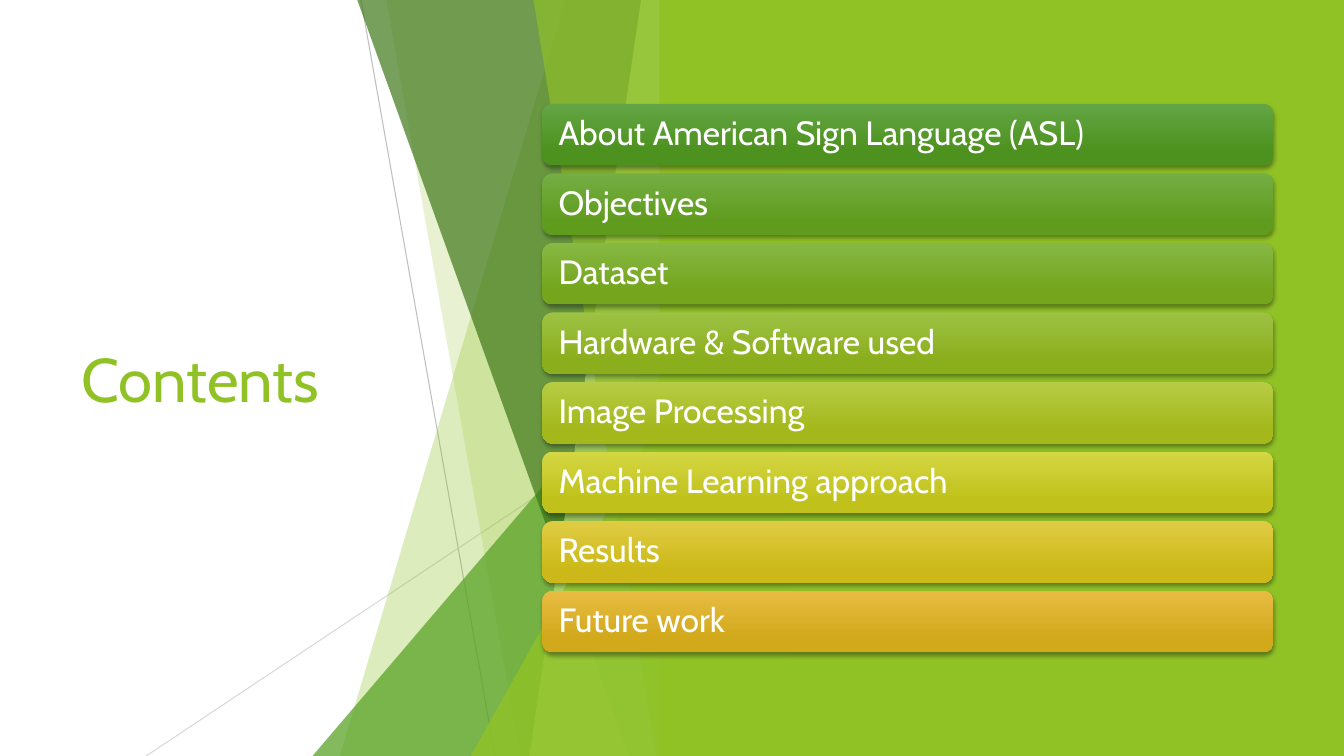
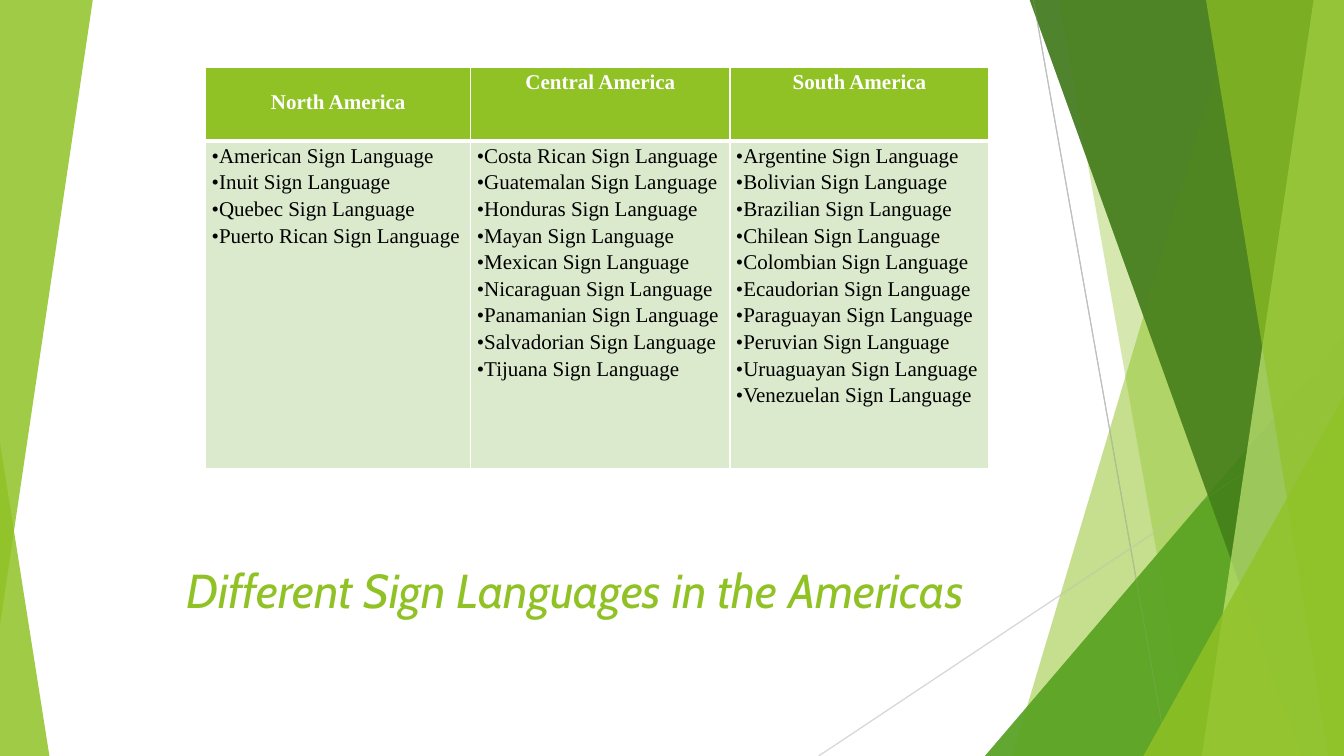
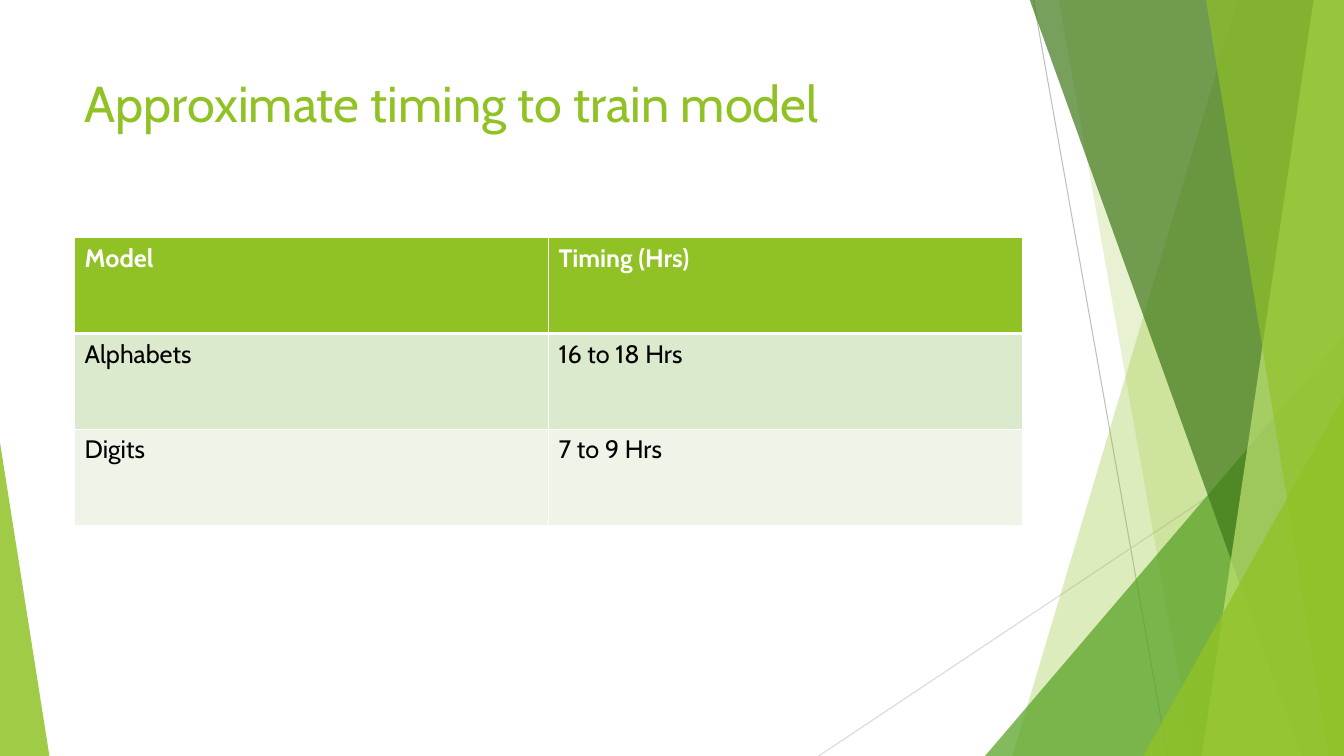
from dataclasses import dataclass

from lxml import etree
from pptx import Presentation
from pptx.dml.color import RGBColor
from pptx.enum.shapes import MSO_CONNECTOR, MSO_SHAPE
from pptx.enum.text import MSO_ANCHOR, MSO_AUTO_SIZE, PP_ALIGN
from pptx.oxml.ns import qn
from pptx.util import Inches, Pt

LEFT, CENTER = PP_ALIGN.LEFT, PP_ALIGN.CENTER
TOP, MIDDLE, BOTTOM = MSO_ANCHOR.TOP, MSO_ANCHOR.MIDDLE, MSO_ANCHOR.BOTTOM
NO_FIT = MSO_AUTO_SIZE.NONE
STRAIGHT = MSO_CONNECTOR.STRAIGHT
RECT, ROUND = MSO_SHAPE.RECTANGLE, MSO_SHAPE.ROUNDED_RECTANGLE
TRIANGLE = MSO_SHAPE.ISOSCELES_TRIANGLE


@dataclass(frozen=True)
class Theme:
    lime: str = "90C226"
    leaf: str = "54A021"
    forest: str = "3F7819"
    pale: str = "C0E474"
    white: str = "FFFFFF"
    black: str = "000000"
    gray: str = "BFBFBF"
    silver: str = "D9D9D9"
    bands: tuple = ("DBE9CD", "EEF4E8")
    sans: str = "Cabin"
    serif: str = "Times New Roman"
    big: int = 44
    head: int = 36
    quote: int = 34
    bar: int = 24
    cell: int = 18
    small: int = 15


THEME = Theme()
WIDTH, HEIGHT = 13.33, 7.5
SHIFT = 6.67

TOPICS = [
    ("About American Sign Language (ASL)", "63A545", "4D921E"),
    ("Objectives", "74AE44", "5F9C1E"),
    ("Dataset", "87B844", "74A51D"),
    ("Hardware & Software used", "9DC244", "8BAE1D"),
    ("Image Processing", "B7CC44", "A4B81C"),
    ("Machine Learning approach", "D4D643", "C0C21B"),
    ("Results", "E0CC43", "CCB919"),
    ("Future work", "E7BC43", "D2A91B"),
]
REGIONS = {
    "North America": ["American", "Inuit", "Quebec", "Puerto Rican"],
    "Central America": ["Costa Rican", "Guatemalan", "Honduras", "Mayan",
                        "Mexican", "Nicaraguan", "Panamanian", "Salvadorian",
                        "Tijuana"],
    "South America": ["Argentine", "Bolivian", "Brazilian", "Chilean",
                      "Colombian", "Ecaudorian", "Paraguayan", "Peruvian",
                      "Uruaguayan", "Venezuelan"],
}
TIMES = [
    ("Model", "Timing (Hrs)"),
    ("Alphabets", "16 to 18 Hrs"),
    ("Digits", "7 to 9 Hrs"),
]


def color(code):
    return RGBColor.from_string(code)


def box(*sizes):
    return [Inches(size) for size in sizes]


def sub(parent, tag, **attrs):
    node = etree.SubElement(parent, qn(tag))
    for key, value in attrs.items():
        node.set(key, str(value))
    return node


def style(frame, font, size, tone, bold=False, italic=False, align=LEFT,
          space=1.0):
    for para in frame.paragraphs:
        para.alignment = align
        para.line_spacing = space
        for run in para.runs:
            run.font.name = font
            run.font.size = Pt(size)
            run.font.color.rgb = color(tone)
            run.font.bold = bold
            run.font.italic = italic


def paint(shape, tone, alpha=100):
    """Flat fill with the given opacity, no outline and no shadow."""
    shape.shadow.inherit = False
    shape.fill.solid()
    shape.fill.fore_color.rgb = color(tone)
    shape.line.fill.background()
    if alpha < 100:
        fill = shape.element.spPr.find(".//" + qn("a:srgbClr"))
        sub(fill, "a:alpha", val=alpha * 1000)


def line(shapes, start, end, tone):
    link = shapes.add_connector(STRAIGHT, *box(*start, *end))
    link.line.color.rgb = color(tone)
    link.line.width = Pt(0.75)
    sub(link.element.spPr, "a:effectLst")


def wedge(shapes, area, tip, tone, alpha):
    """Triangle whose tip sits at the given share of its width."""
    shape = shapes.add_shape(TRIANGLE, *box(*area))
    shape.adjustments[0] = tip
    paint(shape, tone, alpha)
    return shape


def shard(shapes, top, foot, tone, alpha):
    """Slanted panel running from its left edge to the right of the slide."""
    pen = shapes.build_freeform(Inches(top), Inches(-0.01))
    points = [(WIDTH, -0.01), (WIDTH, HEIGHT), (foot, HEIGHT)]
    pen.add_line_segments([box(*point) for point in points], close=True)
    paint(pen.convert_to_shape(), tone, alpha)


def facets(slide):
    group = slide.shapes.add_group_shape()
    shapes = group.shapes
    line(shapes, (10.25, 0), (11.58, HEIGHT), THEME.gray)
    line(shapes, (WIDTH, 4.03), (8.12, HEIGHT), THEME.silver)
    shard(shapes, 12.28, 10.04, THEME.lime, 30)
    shard(shapes, 10.5, 11.83, THEME.lime, 20)
    wedge(shapes, (9.77, 3.33, 3.56, 4.17), 1, THEME.leaf, 72)
    shard(shapes, 10.21, 12.91, THEME.forest, 70)
    shard(shapes, 13.03, 11.92, THEME.pale, 70)
    shard(shapes, 11.96, 13.18, THEME.lime, 65)
    wedge(shapes, (11.34, 3.93, 1.99, 3.57), 1, THEME.lime, 80)
    return group


def dress(layout, slide):
    """Draw the shared backdrop on a slide and move it to its layout."""
    group = facets(slide)
    wedge(group.shapes, (0, 4.39, 0.49, 3.11), 0, THEME.lime, 85)
    for index, node in enumerate(group.element.iter(qn("p:cNvPr"))):
        node.set("id", str(100 + index))
    layout.shapes.element.insert(2, group.element)


def title(slide, text, area, size, anchor, italic=False, space=1.0):
    head = slide.shapes.title
    head.left, head.top, head.width, head.height = box(*area)
    frame = head.text_frame
    frame.text = text
    frame.word_wrap = True
    frame.auto_size = NO_FIT
    frame.vertical_anchor = anchor
    style(frame, THEME.sans, size, THEME.lime, italic=italic, space=space)


def bar(slide, top, text, light, dark):
    shape = slide.shapes.add_shape(ROUND, *box(5.38, top, 7.25, 0.61))
    shape.shadow.inherit = False
    shape.line.fill.background()
    shape.fill.gradient()
    shape.fill.gradient_angle = 270
    for stop, tone, place in zip(shape.fill.gradient_stops, (light, dark),
                                 (0, 0.78)):
        stop.color.rgb = color(tone)
        stop.position = place
    effects = shape.element.spPr.find(qn("a:effectLst"))
    shade = sub(effects, "a:outerShdw", blurRad=Pt(3), dist=Pt(2),
                dir=90 * 60000, rotWithShape=0)
    sub(sub(shade, "a:srgbClr", val=THEME.black), "a:alpha", val=35000)
    frame = shape.text_frame
    frame.text = text
    frame.word_wrap = True
    frame.vertical_anchor = MIDDLE
    frame.margin_left = frame.margin_right = Inches(0.13)
    style(frame, THEME.sans, THEME.bar, THEME.white, space=0.9)


def edges(cell, row):
    """White cell borders, thick between the header and the body."""
    widths = {"L": 1, "R": 1, "T": 3 if row == 1 else 1,
              "B": 3 if row == 0 else 1}
    props = cell._tc.get_or_add_tcPr()
    for index, (side, width) in enumerate(widths.items()):
        edge = sub(props, "a:ln" + side, w=Pt(width))
        sub(sub(edge, "a:solidFill"), "a:srgbClr", val=THEME.white)
        props.insert(index, edge)


def grid(slide, rows, place, widths, heights, font, size):
    area = box(*place, sum(widths), sum(heights))
    table = slide.shapes.add_table(len(rows), len(widths), *area).table
    for column, width in zip(table.columns, widths):
        column.width = Inches(width)
    for index, (row, height) in enumerate(zip(rows, heights)):
        table.rows[index].height = Inches(height)
        header = index == 0
        back = THEME.lime if header else THEME.bands[(index - 1) % 2]
        tone = THEME.white if header else THEME.black
        for cell, text in zip(table.rows[index].cells, row):
            cell.text = text
            cell.vertical_anchor = TOP
            cell.fill.solid()
            cell.fill.fore_color.rgb = color(back)
            edges(cell, index)
            style(cell.text_frame, font, size, tone, bold=header)
    return table


def bullet(para):
    props = para._p.get_or_add_pPr()
    props.set("marL", str(Inches(0.07)))
    props.set("indent", str(Inches(-0.07)))
    sub(props, "a:buFont", typeface=THEME.serif)
    sub(props, "a:buChar", char="•")


def contents(deck):
    slide = deck.slides.add_slide(deck.slide_layouts[1])
    body = slide.placeholders[1].element
    body.getparent().remove(body)
    title(slide, "Contents", (0.71, 1.51, 3.88, 4.48), THEME.big, MIDDLE)
    group = facets(slide)
    group.left -= Inches(SHIFT)
    panel = slide.shapes.add_shape(RECT, *box(6.54, 0, 6.8, HEIGHT))
    paint(panel, THEME.lime)
    for index, topic in enumerate(TOPICS):
        bar(slide, 1.03 + 0.69 * index, *topic)


def regions(slide):
    group = facets(slide)
    side = wedge(group.shapes, (0, 0, 0.92, 6.2), 1, THEME.lime, 85)
    side.rotation = 180
    title(slide, "Different Sign Languages in the Americas",
          (1.75, 5, 8.39, 1.19), THEME.quote, BOTTOM, italic=True, space=0.9)
    lists = ["\n".join(f"{name} Sign Language" for name in names)
             for names in REGIONS.values()]
    table = grid(slide, [list(REGIONS), lists], (2.04, 0.67),
                 (2.63, 2.57, 2.57), (0.73, 3.25), THEME.serif, THEME.small)
    for cell in table.iter_cells():
        cell.margin_left = cell.margin_right = Inches(0.06)
        cell.margin_top = cell.margin_bottom = 0
        for para in cell.text_frame.paragraphs:
            para.line_spacing = 1.15
    for cell in table.rows[0].cells:
        cell.text_frame.paragraphs[0].alignment = CENTER
    table.cell(0, 0).text_frame.paragraphs[0].line_spacing = 2.0
    for cell in table.rows[1].cells:
        for para in cell.text_frame.paragraphs:
            bullet(para)


def timing(slide):
    title(slide, "Approximate timing to train model",
          (0.74, 0.67, 9.4, 1.44), THEME.head, TOP)
    grid(slide, TIMES, (0.74, 2.36), (4.7, 4.7), (0.95,) * 3,
         THEME.sans, THEME.cell)


def main():
    deck = Presentation()
    deck.slide_width, deck.slide_height = box(WIDTH, HEIGHT)
    layout = deck.slide_layouts[5]
    contents(deck)
    slide = deck.slides.add_slide(layout)
    dress(layout, slide)
    regions(slide)
    timing(deck.slides.add_slide(layout))
    deck.save("out.pptx")


if __name__ == "__main__":
    main()
